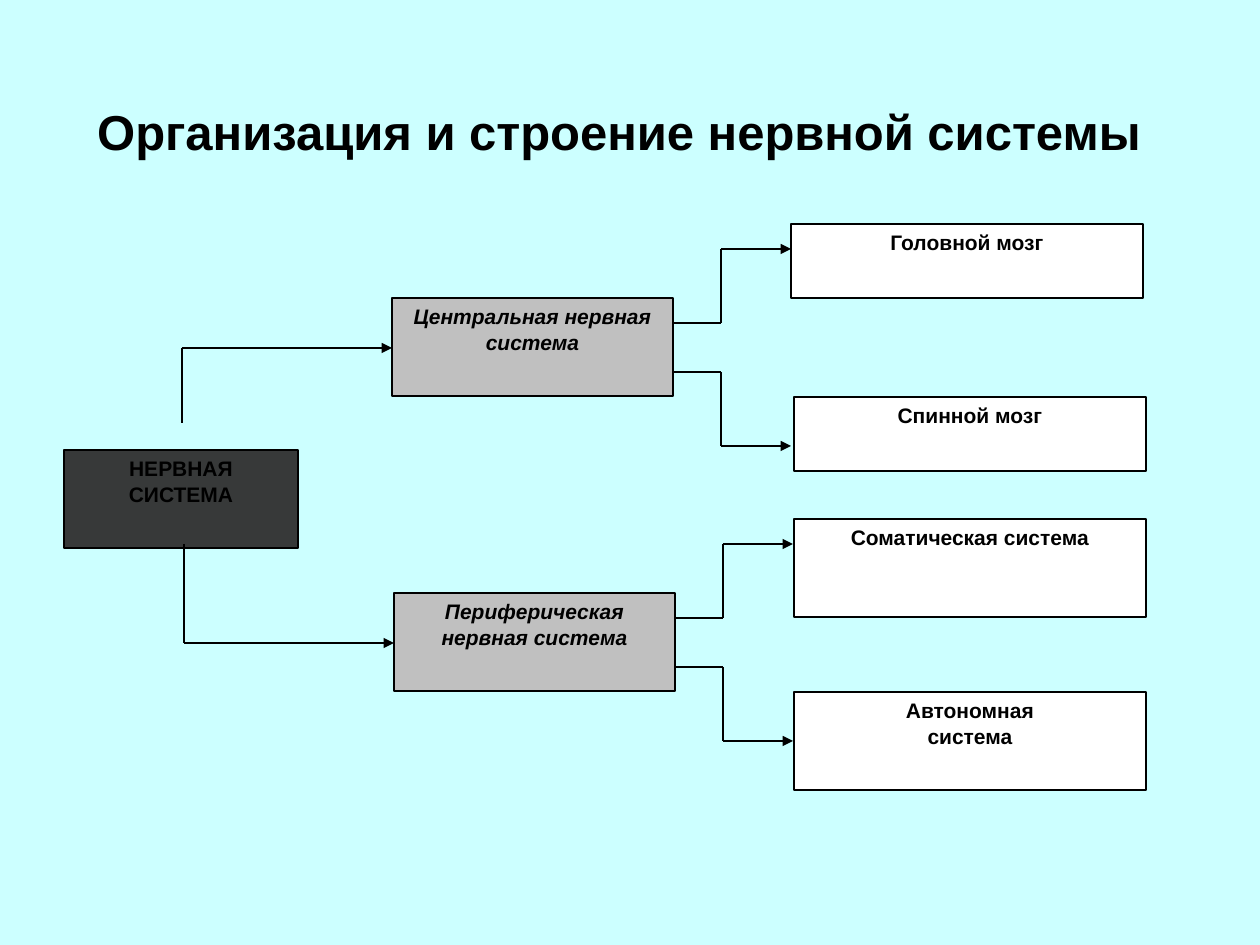
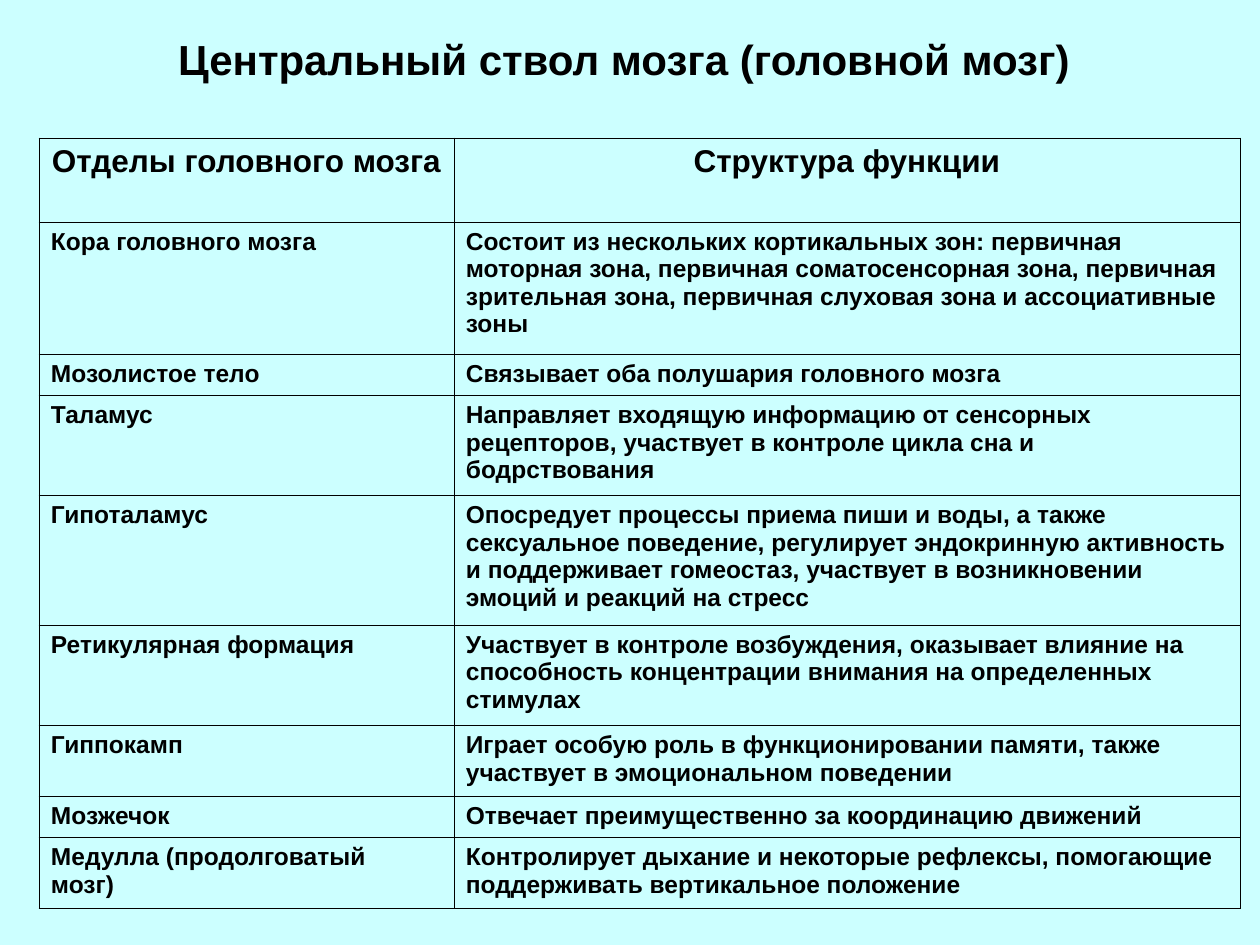
from dataclasses import dataclass
from itertools import pairwise
from typing import NamedTuple

from lxml.etree import SubElement
from pptx import Presentation
from pptx.dml.color import RGBColor
from pptx.enum.shapes import MSO_CONNECTOR, MSO_SHAPE
from pptx.enum.text import MSO_ANCHOR, PP_ALIGN
from pptx.oxml.ns import qn
from pptx.util import Emu, Pt

EMU_PER_PX = 914400 / 126


def px(length):
    return Emu(round(length * EMU_PER_PX))


class Box(NamedTuple):
    left: int
    top: int
    width: int
    height: int

    def inside(self, left, top, width, height):
        return Box(self.left + left, self.top + top, width, height)

    def emu(self):
        return [px(length) for length in self]


@dataclass(frozen=True)
class Theme:
    font: str = "Arial"
    background: str = "CCFFFF"
    ink: str = "000000"
    root: str = "333333"
    branch: str = "C0C0C0"
    leaf: str = "FFFFFF"
    root_opacity: int = 97
    diagram_title: int = 28
    table_title: int = 24
    table_header: int = 18
    table_body: int = 14
    node: int = 12
    outline: float = 0.75
    route: float = 1.5
    grid: float = 0.45
    inset_x: int = 12
    inset_y: int = 6


THEME = Theme()

NODE_HEIGHT = 98
BRANCH_WIDTH = 281
LEAF_WIDTH = 352

LEAVES = [
    ("Головной мозг", 727, 0, 74),
    ("Спинной мозг", 730, 173, 74),
    ("Соматическая система", 730, 295, NODE_HEIGHT),
    ("Автономная\nсистема", 730, 468, NODE_HEIGHT),
]

COLUMN_WIDTHS = [415, 786]
ROW_HEIGHTS = [84, 132, 41, 96, 126, 96, 71, 41, 70]
BRAIN_PARTS = [
    ("Отделы головного мозга", "Структура функции"),
    ("Кора головного мозга",
     "Состоит из нескольких кортикальных зон: первичная моторная зона, "
     "первичная соматосенсорная зона, первичная зрительная зона, "
     "первичная слуховая зона и ассоциативные зоны"),
    ("Мозолистое тело", "Связывает оба полушария головного мозга"),
    ("Таламус",
     "Направляет входящую информацию от сенсорных рецепторов, "
     "участвует в контроле цикла сна и бодрствования"),
    ("Гипоталамус",
     "Опосредует процессы приема пиши и воды, а также сексуальное поведение, "
     "регулирует эндокринную активность и поддерживает гомеостаз, "
     "участвует в возникновении эмоций и реакций на стресс"),
    ("Ретикулярная формация",
     "Участвует в контроле возбуждения, оказывает влияние на способность "
     "концентрации внимания на определенных стимулах"),
    ("Гиппокамп",
     "Играет особую роль в функционировании памяти, "
     "также участвует в эмоциональном поведении"),
    ("Мозжечок", "Отвечает преимущественно за координацию движений"),
    ("Медулла (продолговатый\nмозг)",
     "Контролирует дыхание и некоторые рефлексы, помогающие "
     "поддерживать вертикальное положение"),
]


def color(value):
    return RGBColor.from_string(value)


def write(text_frame, text, size, align=PP_ALIGN.CENTER, italic=False):
    text_frame.word_wrap = True
    text_frame.text = text
    for paragraph in text_frame.paragraphs:
        paragraph.alignment = align
        paragraph.font.name = THEME.font
        paragraph.font.size = Pt(size)
        paragraph.font.bold = True
        paragraph.font.italic = italic
        paragraph.font.color.rgb = color(THEME.ink)


def set_margins(target, right=0, top=0, bottom=0):
    target.margin_left = px(THEME.inset_x)
    target.margin_right = px(THEME.inset_x + right)
    target.margin_top = px(THEME.inset_y + top)
    target.margin_bottom = px(THEME.inset_y + bottom)


def add_slide(presentation):
    slide = presentation.slides.add_slide(presentation.slide_layouts[6])
    slide.background.fill.solid()
    slide.background.fill.fore_color.rgb = color(THEME.background)
    return slide


def add_title(slide, box, text, size, **extra_margins):
    text_frame = slide.shapes.add_textbox(*box.emu()).text_frame
    write(text_frame, text, size)
    text_frame.vertical_anchor = MSO_ANCHOR.MIDDLE
    set_margins(text_frame, **extra_margins)


def add_node(slide, box, text, fill, italic=False):
    shape = slide.shapes.add_shape(MSO_SHAPE.RECTANGLE, *box.emu())
    shape.shadow.inherit = False
    shape.fill.solid()
    shape.fill.fore_color.rgb = color(fill)
    shape.line.color.rgb = color(THEME.ink)
    shape.line.width = Pt(THEME.outline)
    write(shape.text_frame, text, THEME.node, italic=italic)
    shape.text_frame.vertical_anchor = MSO_ANCHOR.TOP
    set_margins(shape.text_frame)
    return shape


def add_route(slide, points):
    for start, end in pairwise(points):
        connector = slide.shapes.add_connector(
            MSO_CONNECTOR.STRAIGHT, *(px(length) for length in start + end))
        connector.line.color.rgb = color(THEME.ink)
        connector.line.width = Pt(THEME.route)
        properties = connector.element.spPr
        if end == points[-1]:
            SubElement(properties.find(qn("a:ln")), qn("a:tailEnd"), type="triangle")
        SubElement(properties, qn("a:effectLst"))


def add_root(slide, box):
    shape = add_node(slide, box, "НЕРВНАЯ\nСИСТЕМА", THEME.root)
    fill = shape.element.spPr.find(qn("a:solidFill"))
    SubElement(fill.find(qn("a:srgbClr")), qn("a:alpha"),
               val=str(THEME.root_opacity * 1000))


def add_branch(slide, box, text):
    add_node(slide, box, text, THEME.branch, italic=True)
    right = box.left + box.width
    knee = right + 48
    for exit_offset, leaf_offset in [(25, -49), (74, 148)]:
        exit_y = box.top + exit_offset
        leaf_y = box.top + leaf_offset
        add_route(slide, [(right, exit_y), (knee, exit_y),
                          (knee, leaf_y), (right + 118, leaf_y)])


def add_diagram(slide, box):
    root = box.inside(0, 226, 234, NODE_HEIGHT)
    central = box.inside(328, 74, BRANCH_WIDTH, NODE_HEIGHT)
    peripheral = box.inside(330, 369, BRANCH_WIDTH, NODE_HEIGHT)
    add_root(slide, root)
    add_branch(slide, central, "Центральная нервная система")
    add_branch(slide, peripheral, "Периферическая нервная система")
    for text, left, top, height in LEAVES:
        add_node(slide, box.inside(left, top, LEAF_WIDTH, height), text, THEME.leaf)
    starts = [(root.left + 118, root.top - 27), (root.left + 120, root.top + 94)]
    for (stem, start_y), branch in zip(starts, [central, peripheral]):
        middle = branch.top + NODE_HEIGHT // 2 + 1
        add_route(slide, [(stem, start_y), (stem, middle), (branch.left, middle)])


def add_borders(cell):
    properties = cell._tc.get_or_add_tcPr()
    for side in ("lnL", "lnR", "lnT", "lnB"):
        line = SubElement(properties, qn(f"a:{side}"), w=str(Pt(THEME.grid)))
        fill = SubElement(line, qn("a:solidFill"))
        SubElement(fill, qn("a:srgbClr"), val=THEME.ink)


def add_brain_table(slide, box):
    table = slide.shapes.add_table(
        len(BRAIN_PARTS), len(COLUMN_WIDTHS), *box.emu()).table
    table.first_row = False
    table.horz_banding = False
    for column, width in zip(table.columns, COLUMN_WIDTHS):
        column.width = px(width)
    for index, (texts, height) in enumerate(zip(BRAIN_PARTS, ROW_HEIGHTS)):
        row = table.rows[index]
        row.height = px(height)
        size = THEME.table_body if index else THEME.table_header
        align = PP_ALIGN.LEFT if index else PP_ALIGN.CENTER
        for cell, text in zip(row.cells, texts):
            write(cell.text_frame, text, size, align)
            set_margins(cell)
            add_borders(cell)
            cell.fill.background()


def build_diagram_slide(presentation):
    slide = add_slide(presentation)
    add_title(slide, Box(63, 38, 1134, 158), "Организация и строение нервной системы",
              THEME.diagram_title, right=22, top=28)
    add_diagram(slide, Box(64, 224, 1082, 566))


def build_table_slide(presentation):
    slide = add_slide(presentation)
    add_title(slide, Box(63, 38, 1134, 87), "Центральный ствол мозга (головной мозг)",
              THEME.table_title, right=12, bottom=46)
    add_brain_table(slide, Box(39, 138, sum(COLUMN_WIDTHS), sum(ROW_HEIGHTS)))


def main():
    presentation = Presentation()
    presentation.slide_width = px(1260)
    presentation.slide_height = px(945)
    build_diagram_slide(presentation)
    build_table_slide(presentation)
    presentation.save("out.pptx")


if __name__ == "__main__":
    main()
